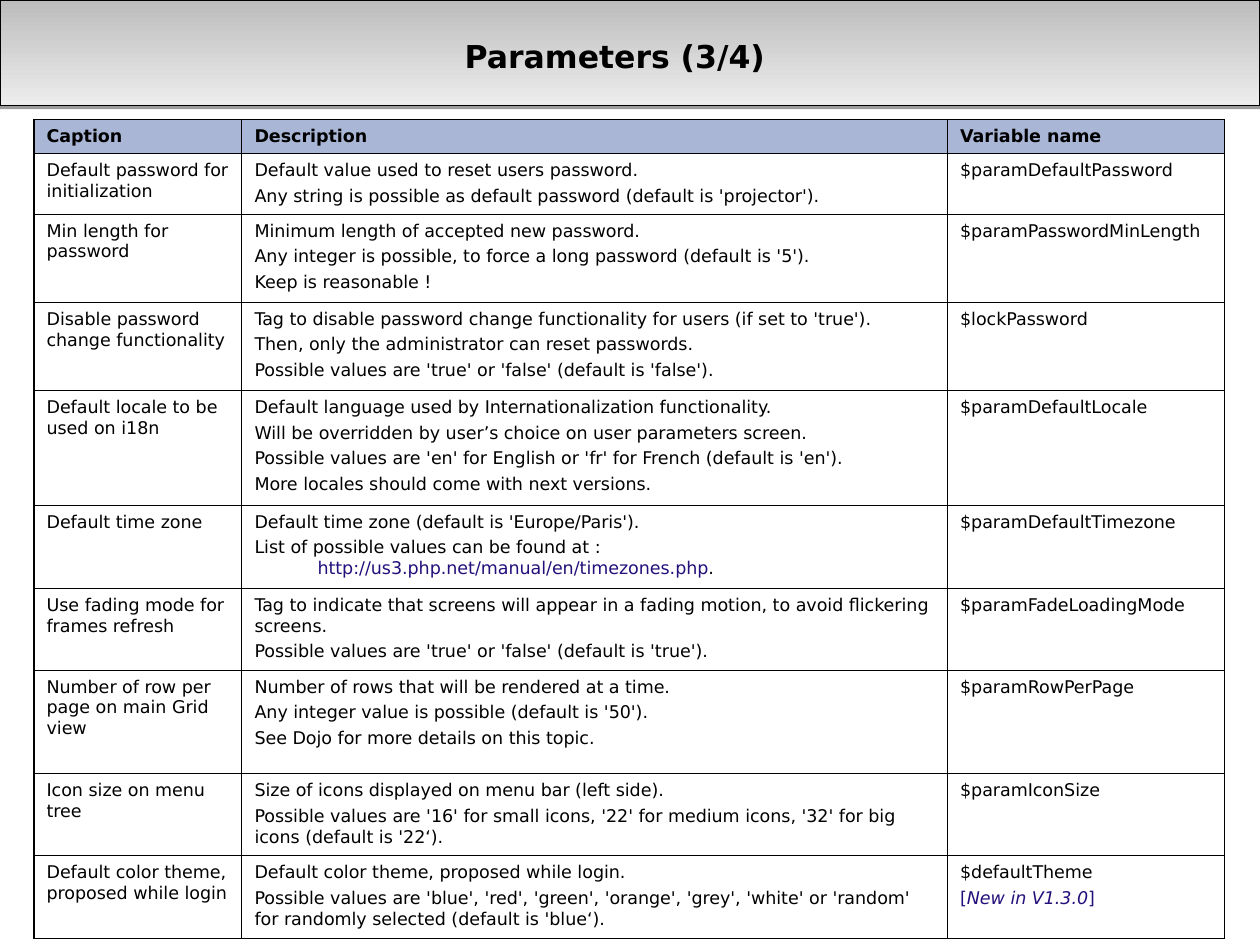
from lxml import etree
from pptx import Presentation
from pptx.dml.color import RGBColor as RGB
from pptx.enum.shapes import MSO_SHAPE as Shape
from pptx.enum.text import MSO_ANCHOR as Anchor, PP_ALIGN as Align
from pptx.oxml import parse_xml
from pptx.oxml.ns import nsdecls, qn
from pptx.util import Inches, Pt

COLORS = {"text": "000000", "link": "240F7B", "head": "AAB6D6",
          "light": "EDEDED", "dark": "BCBCBC", "line": "000000"}
FONT = "DejaVu Sans"
COLS = [1.65, 5.6, 2.2]
HEIGHTS = [0.27, 0.48, 0.7, 0.7, 0.91, 0.66, 0.65, 0.82, 0.65, 0.66]
LINK = {"color": "link"}

# A cell is a list of paragraphs; a paragraph is a text or a list of (text, format).
ROWS = [
    (["Caption"], ["Description"], ["Variable name"]),
    (["Default password for initialization"],
     ["Default value used to reset users password.",
      "Any string is possible as default password (default is 'projector')."],
     ["$paramDefaultPassword"]),
    (["Min length for password"],
     ["Minimum length of accepted new password.",
      "Any integer is possible, to force a long password (default is '5').",
      "Keep is reasonable !"],
     ["$paramPasswordMinLength"]),
    (["Disable password change functionality"],
     ["Tag to disable password change functionality for users (if set to 'true').",
      "Then, only the administrator can reset passwords.",
      "Possible values are 'true' or 'false' (default is 'false')."],
     ["$lockPassword"]),
    (["Default locale to be used on i18n"],
     ["Default language used by Internationalization functionality.",
      "Will be overridden by user’s choice on user parameters screen.",
      "Possible values are 'en' for English or 'fr' for French (default is 'en').",
      "More locales should come with next versions."],
     ["$paramDefaultLocale"]),
    (["Default time zone"],
     ["Default time zone (default is 'Europe/Paris').",
      [("List of possible values can be found at :", {}), ("\n", {}), ("\t", {}),
       ("http://us3.php.net/manual/en/timezones.php", LINK), (".", {})]],
     ["$paramDefaultTimezone"]),
    (["Use fading mode for frames refresh"],
     ["Tag to indicate that screens will appear in a fading motion, "
      "to avoid flickering screens.",
      "Possible values are 'true' or 'false' (default is 'true')."],
     ["$paramFadeLoadingMode"]),
    (["Number of row per page on main Grid view"],
     ["Number of rows that will be rendered at a time.",
      "Any integer value is possible (default is '50').",
      "See Dojo for more details on this topic."],
     ["$paramRowPerPage"]),
    (["Icon size on menu tree"],
     ["Size of icons displayed on menu bar (left side).",
      "Possible values are '16' for small icons, '22' for medium icons, "
      "'32' for big icons (default is '22‘)."],
     ["$paramIconSize"]),
    (["Default color theme, proposed while login"],
     ["Default color theme, proposed while login.",
      "Possible values are 'blue', 'red', 'green', 'orange', 'grey', 'white' "
      "or 'random' for randomly selected (default is 'blue‘)."],
     ["$defaultTheme",
      [("[", LINK), ("New in V1.3.0", {**LINK, "italic": True}), ("]", LINK)]]),
]


def rgb(name):
    return RGB.from_string(COLORS[name])


class Deck:
    """Holds the shared style and the current slide."""

    base = {"name": FONT, "size": Pt(10), "bold": False, "color": "text"}

    def __init__(self, slide):
        self.slide = slide

    def text(self, para, parts, **style):
        """Fill a paragraph from a text or a list of (text, format)."""
        for text, extra in [(parts, {})] if isinstance(parts, str) else parts:
            if text == "\n":
                para.add_line_break()
                continue
            run = para.add_run()
            run.text = text
            for key, val in {**self.base, **style, **extra}.items():
                if key == "color":
                    run.font.color.rgb = rgb(val)
                else:
                    setattr(run.font, key, val)

    def tabs(self, para):
        """Set a tab stop at every half inch."""
        stops = etree.SubElement(para._p.get_or_add_pPr(), qn("a:tabLst"))
        for i in range(8):
            etree.SubElement(stops, qn("a:tab"), pos=str(Inches(i / 2)), algn="l")

    def band(self, *box):
        """Draw the shaded band with its hard drop shadow."""
        band = self.slide.shapes.add_shape(Shape.RECTANGLE, *map(Inches, box))
        band.fill.gradient()
        band.fill.gradient_angle = 90
        for stop, name in zip(band.fill.gradient_stops, ("light", "dark")):
            stop.color.rgb = rgb(name)
        band.line.color.rgb = rgb("line")
        band.line.width = Pt(0.75)
        band.shadow.inherit = False
        glow = band._element.spPr.find(qn("a:effectLst"))
        glow.append(parse_xml(
            f'<a:outerShdw {nsdecls("a")} blurRad="0" dist="{Pt(1.6)}" dir="5400000">'
            f'<a:srgbClr val="{COLORS["line"]}"><a:alpha val="38000"/></a:srgbClr>'
            '</a:outerShdw>'))

    def title(self, text, *box):
        frame = self.slide.shapes.add_textbox(*map(Inches, box)).text_frame
        style = {"word_wrap": True, "vertical_anchor": Anchor.MIDDLE,
                 "margin_left": 0, "margin_right": 0,
                 "margin_top": 0, "margin_bottom": 0}
        for key, val in style.items():
            setattr(frame, key, val)
        para = frame.paragraphs[0]
        self.tabs(para)
        para.alignment = Align.CENTER
        self.text(para, text, size=Pt(18), bold=True)

    def edge(self, cell):
        """Draw a thin line on all four sides of a cell."""
        for side in "LRTB":
            cell._tc.get_or_add_tcPr().append(parse_xml(
                f'<a:ln{side} {nsdecls("a")} w="{Pt(0.75)}"><a:solidFill>'
                f'<a:srgbClr val="{COLORS["line"]}"/></a:solidFill></a:ln{side}>'))

    def cell(self, cell, paras, head):
        cell.margin_left = cell.margin_right = Inches(0.1)
        cell.margin_top = cell.margin_bottom = Inches(0.05)
        self.edge(cell)
        if head:
            cell.fill.solid()
            cell.fill.fore_color.rgb = rgb("head")
        else:
            cell.fill.background()
        frame = cell.text_frame
        for i, parts in enumerate(paras):
            para = frame.add_paragraph() if i else frame.paragraphs[0]
            self.tabs(para)
            para.line_spacing = 1.04 if i else 1.02
            if i:
                para.space_before = Pt(2.5)
            self.text(para, parts, bold=head)

    def table(self, left, top, cols, heights, rows):
        box = map(Inches, (left, top, sum(cols), sum(heights)))
        grid = self.slide.shapes.add_table(len(rows), len(cols), *box).table
        grid.first_row = grid.horz_banding = False
        for col, wide in zip(grid.columns, cols):
            col.width = Inches(wide)
        for r, (row, high) in enumerate(zip(rows, heights)):
            grid.rows[r].height = Inches(high)
            for c, paras in enumerate(row):
                self.cell(grid.cell(r, c), paras, r == 0)


def main():
    prs = Presentation()
    prs.slide_width, prs.slide_height = Inches(10), Inches(7.5)
    deck = Deck(prs.slides.add_slide(prs.slide_layouts[6]))
    deck.band(0, 0, 10, 0.84)
    deck.title("Parameters (3/4)", 3.03, 0.13, 3.7, 0.63)
    deck.table(0.27, 0.95, COLS, HEIGHTS, ROWS)
    prs.save("out.pptx")


if __name__ == "__main__":
    main()
